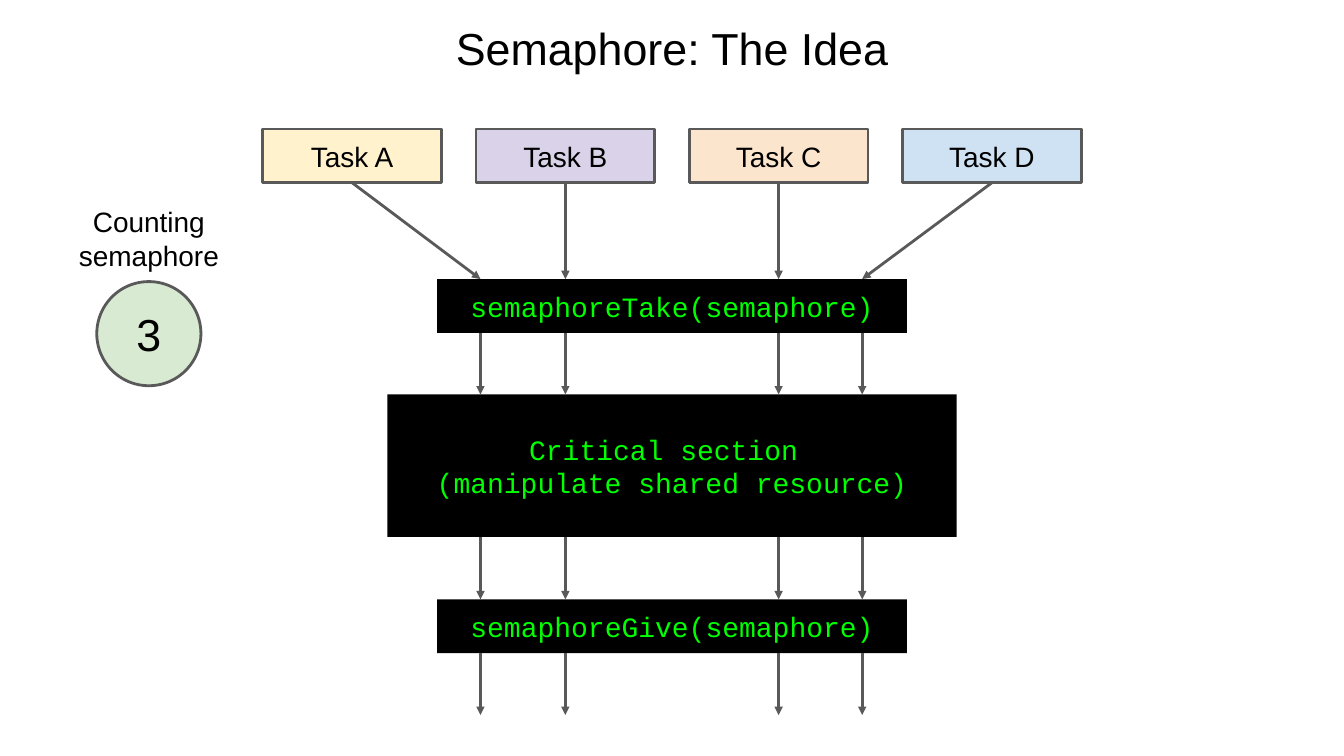
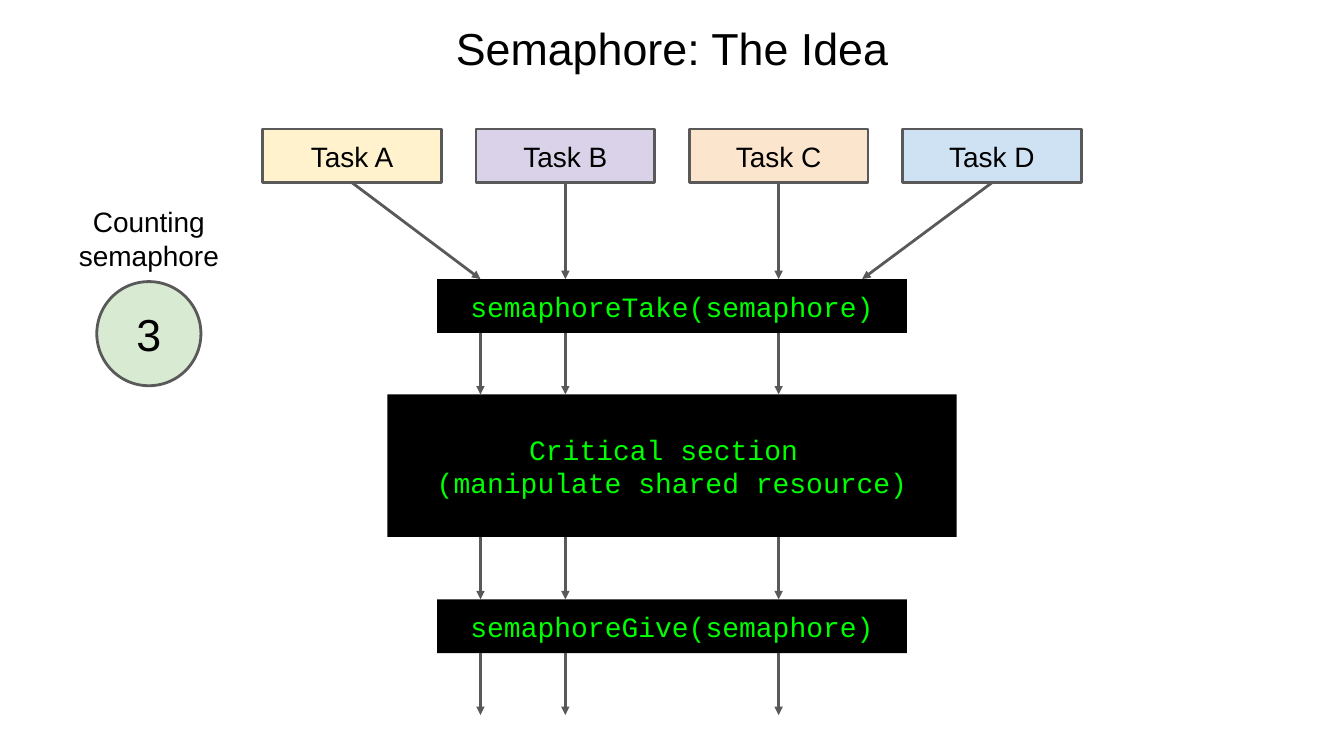
from lxml import etree
from pptx import Presentation
from pptx.dml.color import RGBColor
from pptx.enum.shapes import MSO_CONNECTOR, MSO_SHAPE
from pptx.enum.text import MSO_ANCHOR, PP_ALIGN
from pptx.oxml.ns import qn
from pptx.util import Pt

RECTANGLE, OVAL = MSO_SHAPE.RECTANGLE, MSO_SHAPE.OVAL
STRAIGHT = MSO_CONNECTOR.STRAIGHT
TOP, MIDDLE = MSO_ANCHOR.TOP, MSO_ANCHOR.MIDDLE
CENTER = PP_ALIGN.CENTER
BOTTOM_SIDE = 2

COLORS = {
    "text": "000000",
    "outline": "595959",
    "code_fill": "000000",
    "code_text": "00FF00",
    "counter": "D9EAD3",
    "Task A": "FFF2CC",
    "Task B": "D9D2E9",
    "Task C": "FCE5CD",
    "Task D": "CFE2F3",
}
BODY_FONT, CODE_FONT = "Arial", "Courier New"
BODY_SIZE, LARGE_SIZE = 30, 48
INSET, LINE_WIDTH = 7.2, 3

SLIDE_WIDTH, SLIDE_HEIGHT = 1440, 810
CENTER_X = SLIDE_WIDTH / 2
TASKS = ["Task A", "Task B", "Task C", "Task D"]
TASK_WIDTH, TASK_PITCH, TASK_TOP = 191.5, 228.5, 138.2
BOX_HEIGHT = 57.6
TASK_BOTTOM = TASK_TOP + BOX_HEIGHT

# Lines of code, top, width and height of each stage the tasks pass through
STAGES = [
    (["semaphoreTake(semaphore)"], 299, 503.4, BOX_HEIGHT),
    (["Critical section ", "(manipulate shared resource)"], 422.6, 609.8, 152.6),
    (["semaphoreGive(semaphore)"], 642.2, 503.4, BOX_HEIGHT),
]
EXIT_Y = 766.1
LANES = [514.8, 605.75, 834.25, 923.8]


def rgb(name):
    return RGBColor.from_string(COLORS[name])


def write(shape, lines, size=BODY_SIZE, font=BODY_FONT, color="text", anchor=MIDDLE):
    frame = shape.text_frame
    frame.word_wrap = True
    frame.vertical_anchor = anchor
    frame.margin_left = frame.margin_right = Pt(INSET)
    frame.margin_top = frame.margin_bottom = Pt(INSET)
    for index, line in enumerate(lines):
        paragraph = frame.add_paragraph() if index else frame.paragraphs[0]
        paragraph.alignment = CENTER
        run = paragraph.add_run()
        run.text = line
        run.font.size = Pt(size)
        run.font.name = font
        run.font.color.rgb = rgb(color)


def add_label(slide, text, left, top, width, height, **style):
    label = slide.shapes.add_textbox(Pt(left), Pt(top), Pt(width), Pt(height))
    write(label, [text], **style)


def add_node(slide, kind, lines, left, top, width, height, fill, outline="outline", **style):
    node = slide.shapes.add_shape(kind, Pt(left), Pt(top), Pt(width), Pt(height))
    node.shadow.inherit = False
    node.fill.solid()
    node.fill.fore_color.rgb = rgb(fill)
    if outline:
        node.line.color.rgb = rgb(outline)
        node.line.width = Pt(LINE_WIDTH)
    else:
        node.line.fill.background()
    write(node, lines, **style)
    return node


def add_arrow(slide, x1, y1, x2, y2):
    arrow = slide.shapes.add_connector(STRAIGHT, Pt(x1), Pt(y1), Pt(x2), Pt(y2))
    arrow.line.color.rgb = rgb("outline")
    arrow.line.width = Pt(LINE_WIDTH)
    etree.SubElement(arrow.line._get_or_add_ln(), qn("a:tailEnd"), type="triangle")
    etree.SubElement(arrow._element.spPr, qn("a:effectLst"))
    return arrow


def add_counter(slide, count):
    add_label(slide, "Counting semaphore", 29.5, 218.9, 260, 72.7)
    add_node(slide, OVAL, [str(count)], 103.7, 301.7, 111.6, 111.6, "counter",
             size=LARGE_SIZE)


def add_stages(slide):
    for lines, top, width, height in STAGES:
        add_node(slide, RECTANGLE, lines, CENTER_X - width / 2, top, width, height,
                 "code_fill", outline=None, font=CODE_FONT, color="code_text")


def add_tasks(slide):
    """Draw the row of tasks, each with an arrow into the first stage."""
    entry_y = STAGES[0][1]
    for index, (task, lane) in enumerate(zip(TASKS, LANES)):
        middle = CENTER_X + (index - (len(TASKS) - 1) / 2) * TASK_PITCH
        box = add_node(slide, RECTANGLE, [task], middle - TASK_WIDTH / 2, TASK_TOP,
                       TASK_WIDTH, BOX_HEIGHT, task)
        arrow = add_arrow(slide, middle, TASK_BOTTOM, lane, entry_y)
        arrow.begin_connect(box, BOTTOM_SIDE)


def add_lanes(slide, lanes):
    """Draw the arrows that leave each stage for the next one or the exit."""
    bottoms = [top + height for _, top, _, height in STAGES]
    next_tops = [top for _, top, _, _ in STAGES[1:]] + [EXIT_Y]
    for start, end in zip(bottoms, next_tops):
        for lane in lanes:
            add_arrow(slide, lane, start, lane, end)


def add_semaphore_slide(deck, count, admitted):
    """Add a slide on which the first `admitted` tasks get past the semaphore."""
    slide = deck.slides.add_slide(deck.slide_layouts[6])
    add_label(slide, "Semaphore: The Idea", 167.8, 15.1, 1104.5, 72,
              size=LARGE_SIZE, anchor=TOP)
    add_stages(slide)
    add_tasks(slide)
    add_lanes(slide, LANES[:admitted])
    add_counter(slide, count)


def main():
    deck = Presentation()
    deck.slide_width, deck.slide_height = Pt(SLIDE_WIDTH), Pt(SLIDE_HEIGHT)
    for admitted in (4, 3):
        add_semaphore_slide(deck, count=3, admitted=admitted)
    deck.save("out.pptx")


if __name__ == "__main__":
    main()
